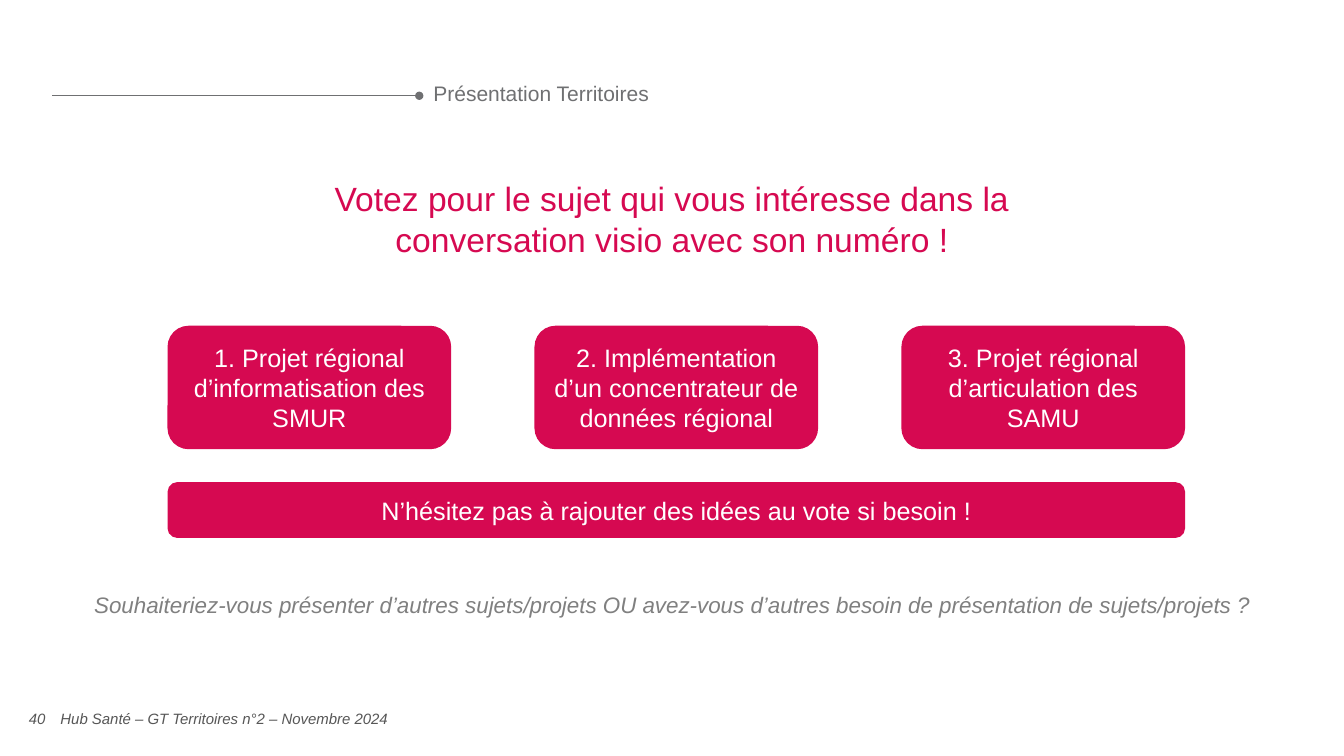
from pptx import Presentation, util as u
from pptx.dml.color import RGBColor
from pptx.enum import shapes, text
from pptx.oxml import ns
from lxml import etree

# Content
HEADER = "Présentation Territoires"
QUESTION = "Votez pour le sujet qui vous intéresse dans la conversation visio avec son numéro !"
TOPICS = [
    "1. Projet régional d’informatisation des SMUR",
    "2. Implémentation d’un concentrateur de données régional",
    "3. Projet régional d’articulation des SAMU",
]
BANNER = "N’hésitez pas à rajouter des idées au vote si besoin !"
INVITATION = ("Souhaiteriez-vous présenter d’autres sujets/projets OU avez-vous "
              "d’autres besoin de présentation de sujets/projets ?")
PAGE_NUMBER = "40"
FOOTER = "Hub Santé – GT Territoires n°2 – Novembre 2024"

# Style and layout, in points
PINK, WHITE, SLATE, GREY, DARK = "D60951", "FFFFFF", "6F7072", "808080", "575757"
LEFT, CARD_WIDTH, CARD_GAP = 120.2, 201.6, 60.5
CARD_TOP, CARD_HEIGHT = 233.2, 87.2
BANNER_TOP, BANNER_HEIGHT = 344.9, 38.9
FOOTER_TOP, FOOTER_HEIGHT = 499, 28.8


def color(value):
    return RGBColor.from_string(value)


def write(shape, content, size, fill, align=text.PP_ALIGN.CENTER, italic=False,
          anchor=text.MSO_ANCHOR.MIDDLE, spacing=None, inset=None):
    frame = shape.text_frame
    frame.text = content
    frame.word_wrap = True
    frame.auto_size = text.MSO_AUTO_SIZE.NONE
    frame.vertical_anchor = anchor
    if inset is not None:
        frame.margin_left = frame.margin_right = u.Pt(inset)
        frame.margin_top = frame.margin_bottom = u.Pt(inset)
    paragraph = frame.paragraphs[0]
    paragraph.alignment = align
    if spacing:
        paragraph.line_spacing = spacing
    font = paragraph.runs[0].font
    font.name, font.size, font.italic = "Arial", u.Pt(size), italic
    font.color.rgb = color(fill)


def add_text(slide, box, content, size, fill, **style):
    shape = slide.shapes.add_textbox(*map(u.Pt, box))
    write(shape, content, size, fill, **style)


def add_card(slide, box, content):
    card = slide.shapes.add_shape(shapes.MSO_SHAPE.ROUNDED_RECTANGLE, *map(u.Pt, box))
    card.shadow.inherit = False
    card.fill.solid()
    card.fill.fore_color.rgb = color(PINK)
    card.line.color.rgb = color(PINK)
    card.line.width = u.Pt(1)
    write(card, content, 18, WHITE)


def add_header_rule(slide):
    rule = slide.shapes.add_connector(
        shapes.MSO_CONNECTOR.STRAIGHT, u.Pt(37.4), u.Pt(68.4), u.Pt(299.5), u.Pt(68.4))
    rule.line.color.rgb = color(SLATE)
    rule.line.width = u.Pt(0.5)
    line = rule.line._get_or_add_ln()
    etree.SubElement(line, ns.qn("a:tailEnd"), type="oval")
    etree.SubElement(rule._element.spPr, ns.qn("a:effectLst"))


def main():
    presentation = Presentation()
    presentation.slide_width, presentation.slide_height = u.Pt(960), u.Pt(540)
    slide = presentation.slides.add_slide(presentation.slide_layouts[5])

    # Header
    add_header_rule(slide)
    title = slide.shapes.title
    title.left, title.top, title.width, title.height = map(u.Pt, (302.4, 56.2, 555.8, 23.8))
    write(title, HEADER, 15, SLATE, align=text.PP_ALIGN.LEFT,
          anchor=text.MSO_ANCHOR.TOP, spacing=0.9)

    # Question and topics to vote for
    add_text(slide, (228.2, 123.8, 503.3, 65.5), QUESTION, 24, PINK,
             anchor=text.MSO_ANCHOR.TOP)
    pitch = CARD_WIDTH + CARD_GAP
    for index, topic in enumerate(TOPICS):
        add_card(slide, (LEFT + index * pitch, CARD_TOP, CARD_WIDTH, CARD_HEIGHT), topic)

    # Banner spanning all topics, then the invitation
    banner_width = len(TOPICS) * pitch - CARD_GAP
    add_card(slide, (LEFT, BANNER_TOP, banner_width, BANNER_HEIGHT), BANNER)
    add_text(slide, (54, 416.2, 852.5, 31.7), INVITATION, 16, GREY, italic=True)

    # Footer
    add_text(slide, (11.5, FOOTER_TOP, 30.2, FOOTER_HEIGHT), PAGE_NUMBER, 10.7, DARK,
             italic=True, inset=0)
    add_text(slide, (43.2, FOOTER_TOP, 727.2, FOOTER_HEIGHT), FOOTER, 10.7, DARK,
             align=text.PP_ALIGN.LEFT, italic=True, inset=0)

    presentation.save("out.pptx")


if __name__ == "__main__":
    main()
